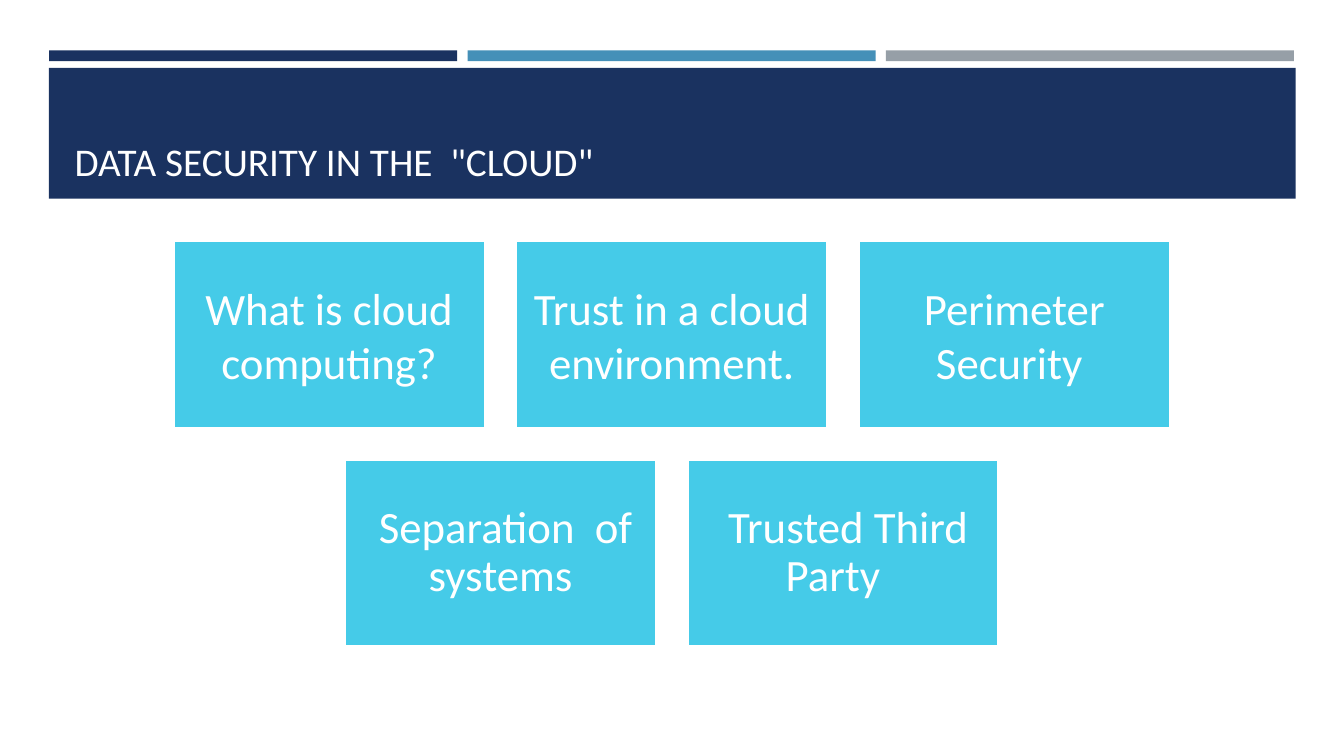
from pptx import Presentation
from pptx.dml.color import RGBColor
from pptx.enum.shapes import MSO_SHAPE as SHAPE
from pptx.enum.text import MSO_ANCHOR as ANCHOR, MSO_AUTO_SIZE as AUTO_SIZE, PP_ALIGN as ALIGN
from pptx.util import Cm, Pt

NAVY = RGBColor(0x1A, 0x32, 0x60)
BLUE = RGBColor(0x45, 0x90, 0xB8)
GREY = RGBColor(0x96, 0x9F, 0xA7)
CYAN = RGBColor(0x45, 0xCB, 0xE8)
WHITE = RGBColor(0xFF, 0xFF, 0xFF)
FONT = "Calibri"

# Rows of topics with their line spacing
TOPIC_ROWS = [
    (["What is cloud computing?", "Trust in a cloud environment.", "Perimeter Security "], 1.0),
    ([" Separation  of systems", " Trusted Third Party  "], 0.9),
]


def add_rect(slide, left, top, width, height, fill):
    s = slide.shapes.add_shape(SHAPE.RECTANGLE, Cm(left), Cm(top), Cm(width), Cm(height))
    s.shadow.inherit = False
    s.fill.solid()
    s.fill.fore_color.rgb = fill
    s.line.fill.background()
    return s


def set_text(s, text, size, align, anchor, margin):
    tf = s.text_frame
    tf.text = text
    tf.word_wrap = True
    tf.auto_size = AUTO_SIZE.NONE
    tf.vertical_anchor = anchor
    tf.margin_left = tf.margin_right = Cm(margin)
    tf.margin_top = tf.margin_bottom = Cm(margin if anchor == ANCHOR.MIDDLE else 0.13)
    p = tf.paragraphs[0]
    p.alignment = align
    font = p.runs[0].font
    font.name, font.size, font.color.rgb = FONT, Pt(size), WHITE
    return p


def add_accent_bars(slide, left, top, width, height, gap=0.26):
    colors = [NAVY, BLUE, GREY]
    bar_w = (width - gap * (len(colors) - 1)) / len(colors)
    for i, color in enumerate(colors):
        add_rect(slide, left + i * (bar_w + gap), top, bar_w, height, color)


def add_title_band(slide, text, left, top, width, height):
    add_rect(slide, left, top, width, height, NAVY)
    title = slide.shapes.title
    title.left, title.top = Cm(left + 0.4), Cm(top + 0.25)
    title.width, title.height = Cm(width - 0.8), Cm(height - 0.49)
    set_text(title, text, 28, ALIGN.LEFT, ANCHOR.BOTTOM, 0.25)
    # Bring the title in front of its band
    slide.shapes._spTree.append(title._element)


def add_topic_grid(slide, left, top, width, height, gap=0.8):
    """Fill the box with rows of equal tiles, each row centred."""
    columns = max(len(topics) for topics, _ in TOPIC_ROWS)
    rows = len(TOPIC_ROWS)
    tile_w = (width - gap * (columns - 1)) / columns
    tile_h = (height - gap * (rows - 1)) / rows
    for row, (topics, spacing) in enumerate(TOPIC_ROWS):
        indent = (columns - len(topics)) * (tile_w + gap) / 2
        for col, topic in enumerate(topics):
            s = add_rect(slide, left + indent + col * (tile_w + gap),
                         top + row * (tile_h + gap), tile_w, tile_h, CYAN)
            s.line.color.rgb = WHITE
            s.line.width = Pt(2)
            p = set_text(s, topic, 32, ALIGN.CENTER, ANCHOR.MIDDLE, 0.33)
            p.line_spacing = spacing


def main():
    prs = Presentation()
    prs.slide_width, prs.slide_height = Cm(33.87), Cm(19.05)
    slide = prs.slides.add_slide(prs.slide_layouts[5])
    add_accent_bars(slide, 1.24, 1.27, 31.37, 0.27)
    add_title_band(slide, "DATA SECURITY IN THE  \"CLOUD\"", 1.23, 1.71, 31.42, 3.3)
    add_topic_grid(slide, 4.37, 6.07, 25.12, 10.22, gap=0.78)
    prs.save("out.pptx")


if __name__ == "__main__":
    main()
